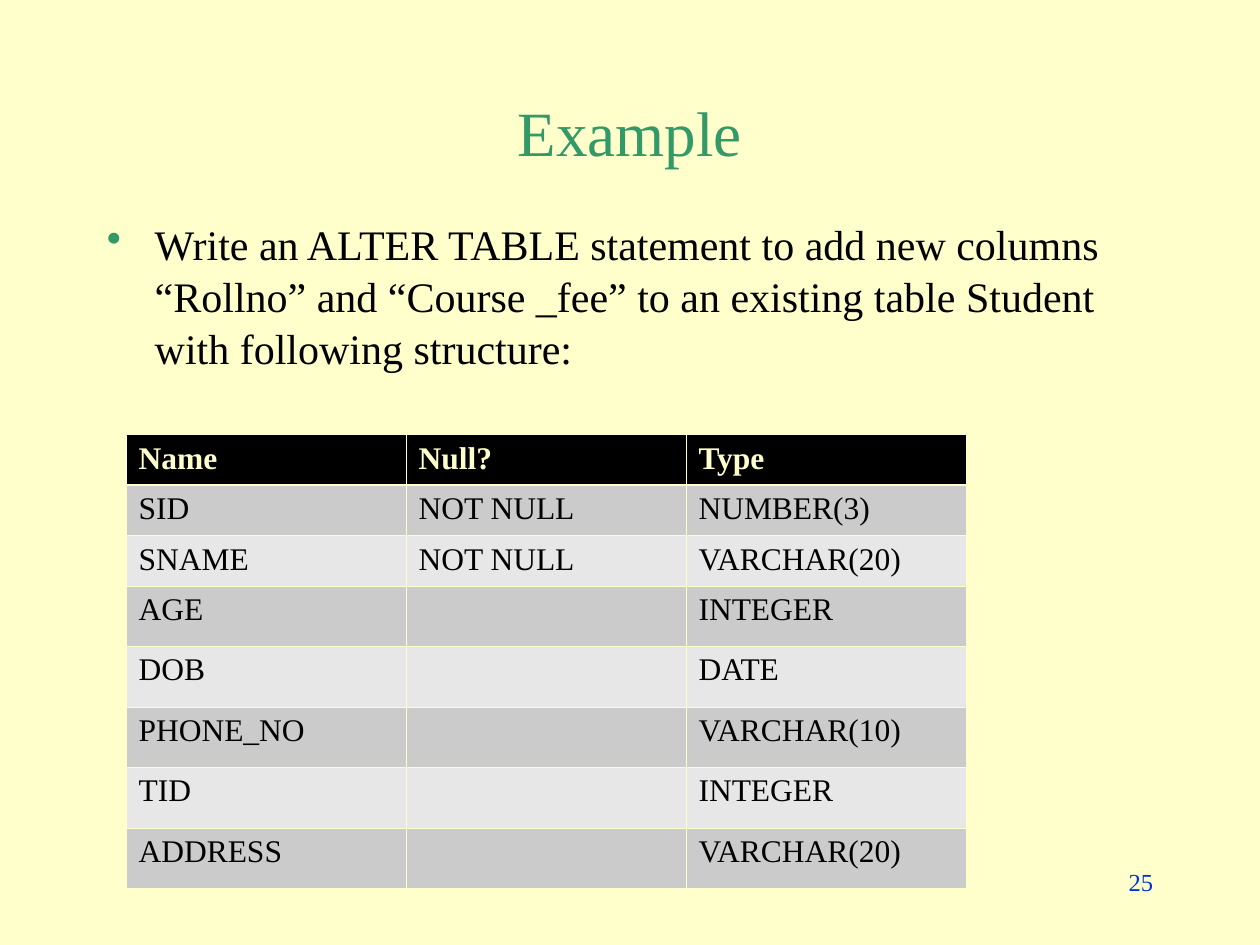
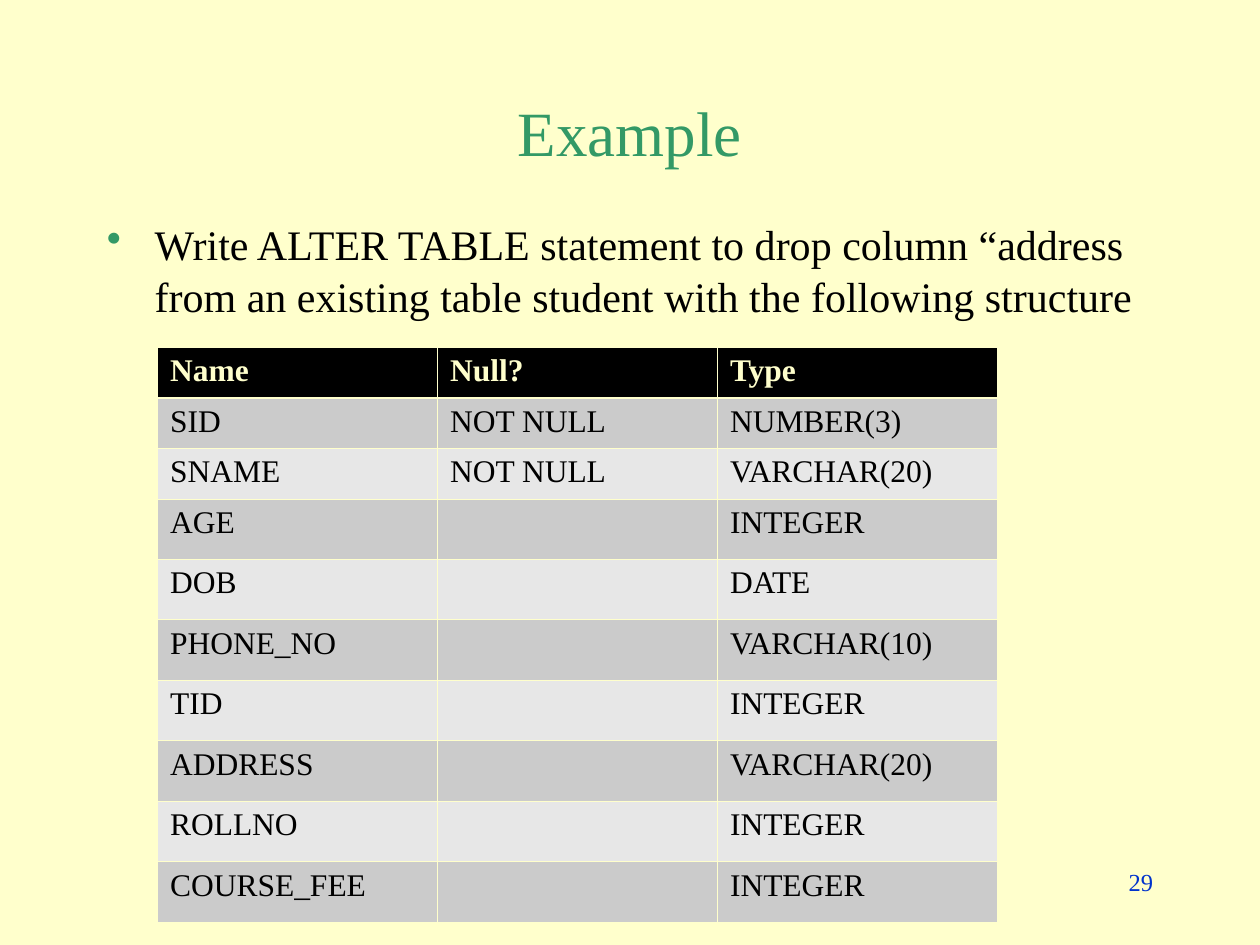
from lxml import etree
from pptx import Presentation, util as u
from pptx.dml.color import RGBColor
from pptx.enum import text
from pptx.oxml.ns import qn

CREAM = RGBColor(0xFF, 0xFF, 0xCC)
GREEN = RGBColor(0x33, 0x99, 0x66)
BLUE = RGBColor(0x00, 0x33, 0xCC)
BLACK = RGBColor(0, 0, 0)
DARK = RGBColor(0xCB, 0xCB, 0xCB)
LIGHT = RGBColor(0xE7, 0xE7, 0xE7)
FONT = "Times New Roman"

# Grid of 120 columns by 90 rows; boxes are left, top, width, height
UNIT = u.Inches(10) / 120
HEAD = (9, 8, 102, 9)
BODY = (9, 20, 102, 60)
FOOT = (86, 82, 25, 6)
WIDE = 80
ROW, TALL = 4.8, 5.76
THIN, THICK = 0.45, 1.47

FIELDS = [
    ("Name", "Null?", "Type"),
    ("SID", "NOT NULL", "NUMBER(3)"),
    ("SNAME", "NOT NULL", "VARCHAR(20)"),
    ("AGE", "", "INTEGER"),
    ("DOB", "", "DATE"),
    ("PHONE_NO", "", "VARCHAR(10)"),
    ("TID", "", "INTEGER"),
    ("ADDRESS", "", "VARCHAR(20)"),
]
ADDED = [("ROLLNO", "", "INTEGER"), ("COURSE_FEE", "", "INTEGER")]


def grid(*cells):
    return [u.Emu(round(c * UNIT)) for c in cells]


def write(para, words, size, color, bold=False):
    run = para.add_run()
    run.text = words
    font = run.font
    font.name, font.size, font.bold = FONT, u.Pt(size), bold
    font.color.rgb = color


def add_box(slide, box):
    """Add a wrapping text box and return its frame."""
    frame = slide.shapes.add_textbox(*grid(*box)).text_frame
    frame.word_wrap = True
    return frame


def add_title(slide, box, words):
    frame = add_box(slide, box)
    frame.vertical_anchor = text.MSO_ANCHOR.MIDDLE
    para = frame.paragraphs[0]
    para.alignment = text.PP_ALIGN.CENTER
    write(para, words, 36, GREEN)


def add_task(slide, box, words):
    """Add the bulleted exercise."""
    para = add_box(slide, box).paragraphs[0]
    props = para._p.get_or_add_pPr()
    hang = u.Inches(0.38)
    props.set("marL", str(hang))
    props.set("indent", str(-hang))
    tint = etree.SubElement(props, qn("a:buClr"))
    etree.SubElement(tint, qn("a:srgbClr"), val=str(GREEN))
    etree.SubElement(props, qn("a:buChar"), char="•")
    para.line_spacing = 1.04
    write(para, words, 24, BLACK)


def add_number(slide, box, number):
    para = add_box(slide, box).paragraphs[0]
    para.alignment = text.PP_ALIGN.RIGHT
    write(para, str(number), 14, BLUE)


def add_edge(cell, side, width):
    line = etree.SubElement(cell._tc.get_or_add_tcPr(), qn("a:ln" + side),
                            w=str(u.Pt(width)))
    fill = etree.SubElement(line, qn("a:solidFill"))
    etree.SubElement(fill, qn("a:srgbClr"), val=str(CREAM))


def fill_cell(cell, words, row):
    edges = {"L": THIN, "R": THIN,
             "T": THICK if row == 1 else THIN,
             "B": THICK if row == 0 else THIN}
    for side, width in edges.items():
        add_edge(cell, side, width)
    cell.fill.solid()
    cell.fill.fore_color.rgb = BLACK if row == 0 else DARK if row % 2 else LIGHT
    para = cell.text_frame.paragraphs[0]
    if words:
        write(para, words, 18, BLACK if row else CREAM, row == 0)
    else:
        para.font.size = u.Pt(18)


def add_fields(slide, left, top, rows):
    """Add the column listing; rows with a gap stand taller."""
    highs = [ROW if all(row) else TALL for row in rows]
    box = grid(left, top, WIDE, sum(highs))
    table = slide.shapes.add_table(len(rows), len(rows[0]), *box).table
    for col in table.columns:
        col.width = u.Emu(box[2] // len(rows[0]))
    for r, (row, high) in enumerate(zip(rows, highs)):
        table.rows[r].height = grid(high)[0]
        for c, words in enumerate(row):
            fill_cell(table.cell(r, c), words, r)


def add_example(deck, number, task, left, top, rows):
    slide = deck.slides.add_slide(deck.slide_layouts[6])
    slide.background.fill.solid()
    slide.background.fill.fore_color.rgb = CREAM
    add_title(slide, HEAD, "Example")
    add_task(slide, BODY, task)
    add_number(slide, FOOT, number)
    add_fields(slide, left, top, rows)


def main():
    deck = Presentation()
    deck.slide_width, deck.slide_height = grid(120, 90)
    add_example(deck, 25, "Write an ALTER TABLE statement to add new columns "
                "“Rollno” and “Course _fee” to an existing table Student "
                "with following structure:", 12, 41.4, FIELDS)
    add_example(deck, 29, "Write ALTER TABLE statement to drop column “address "
                "from an existing table student with the following structure",
                15, 33.1, FIELDS + ADDED)
    deck.save("out.pptx")


if __name__ == "__main__":
    main()
